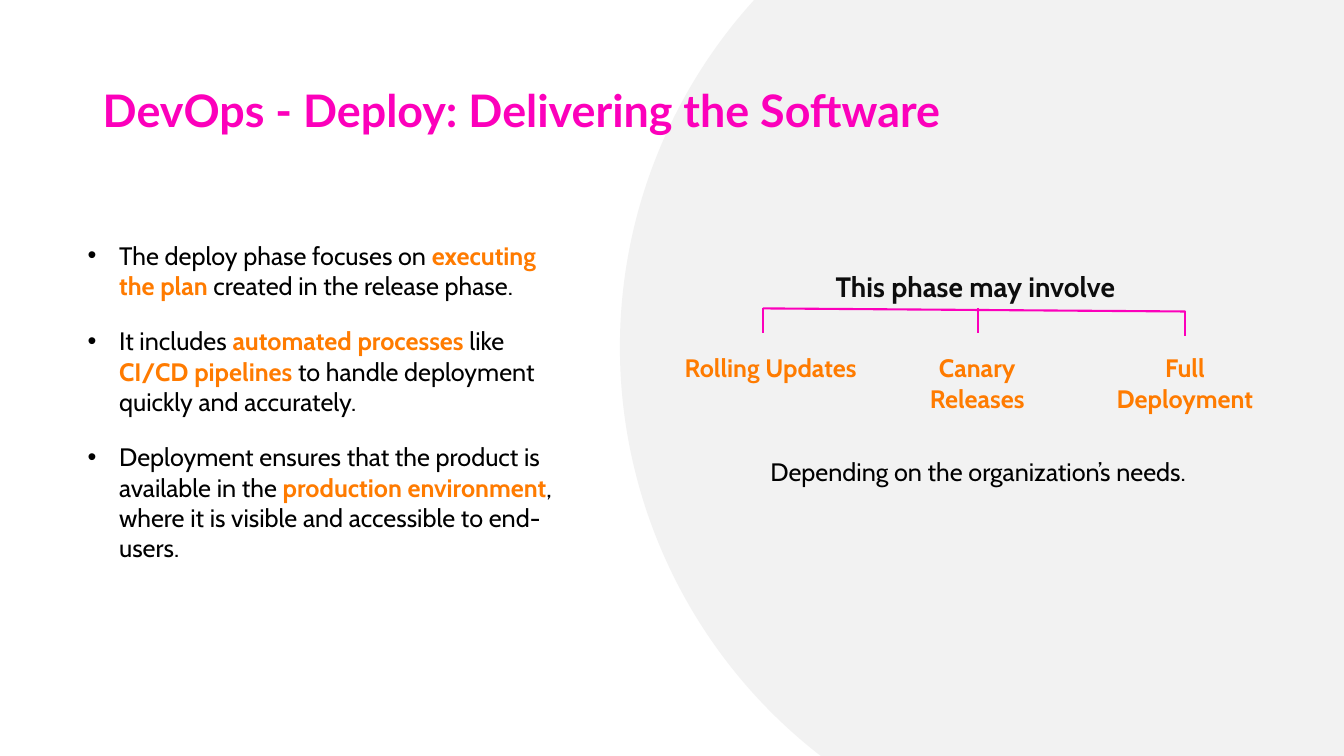
from dataclasses import dataclass

from lxml import etree
from pptx import Presentation
from pptx.dml.color import RGBColor
from pptx.enum import shapes, text
from pptx.oxml import ns
from pptx.util import Pt


@dataclass(frozen=True)
class Theme:
    pink: str = "FC00BB"
    orange: str = "FF7B00"
    black: str = "000000"
    ink: str = "0D0D0D"
    grey: str = "F2F2F2"
    head: str = "Lato"
    body: str = "Cabin"
    big: int = 32
    mid: int = 20
    small: int = 18


T = Theme()
TITLE = "DevOps - Deploy: Delivering the Software"
# Text between asterisks is a key phrase, set bold and orange.
POINTS = [
    "The deploy phase focuses on *executing the plan* created in the release phase.",
    "It includes *automated processes* like *CI/CD pipelines* to handle deployment"
    " quickly and accurately.",
    "Deployment ensures that the product is available in the *production environment*,"
    " where it is visible and accessible to end-users.",
]
# Label, its centre and width, then the x and top of its tick
KINDS = [
    ("Rolling Updates", 91.8, 137.5, 86.4, 31.7),
    ("Canary Releases", 239.4, 118.8, 239.8, 31.7),
    ("Full Deployment", 387.8, 136, 388.1, 33.9),
]


def write(para, words, size=T.small, font=T.body, color=T.black, bold=False):
    """Add a run to a paragraph."""
    run = para.add_run()
    run.text = words
    face = run.font
    face.size, face.name, face.bold = Pt(size), font, bold
    face.color.rgb = RGBColor.from_string(color)


def place(shape, left, top, width, height):
    shape.left, shape.top = Pt(left), Pt(top)
    shape.width, shape.height = Pt(width), Pt(height)


def label(slide, words, mid, top, width, height, **form):
    """Add a text box centred on mid."""
    box = slide.shapes.add_textbox(Pt(mid - width / 2), Pt(top), Pt(width), Pt(height))
    box.text_frame.word_wrap = True
    para = box.text_frame.paragraphs[0]
    para.alignment = text.PP_ALIGN.CENTER
    write(para, words, **form)


def line(slide, x1, y1, x2, y2):
    link = slide.shapes.add_connector(
        shapes.MSO_CONNECTOR.STRAIGHT, Pt(x1), Pt(y1), Pt(x2), Pt(y2))
    link.line.color.rgb = RGBColor.from_string(T.pink)
    link.line.width = Pt(1.5)
    etree.SubElement(link._element.spPr, ns.qn("a:effectLst"))


def disc(slide, left, top, width, height):
    """Draw the grey ellipse behind all else."""
    oval = slide.shapes.add_shape(
        shapes.MSO_SHAPE.OVAL, Pt(left), Pt(top), Pt(width), Pt(height))
    oval.shadow.inherit = False
    oval.fill.solid()
    oval.fill.fore_color.rgb = RGBColor.from_string(T.grey)
    oval.line.fill.background()
    slide.shapes._spTree.insert(2, oval._element)


def header(slide, *box):
    title = slide.shapes.title
    place(title, *box)
    frame = title.text_frame
    frame.auto_size = text.MSO_AUTO_SIZE.NONE
    frame.vertical_anchor = text.MSO_ANCHOR.MIDDLE
    para = frame.paragraphs[0]
    para.alignment = text.PP_ALIGN.LEFT
    para.line_spacing = 0.9
    write(para, TITLE, size=T.big, font=T.head, color=T.pink, bold=True)


def bullets(slide, *box):
    body = slide.placeholders[1]
    place(body, *box)
    frame = body.text_frame
    frame.auto_size = text.MSO_AUTO_SIZE.NONE
    for i, point in enumerate(POINTS):
        para = frame.add_paragraph() if i else frame.paragraphs[0]
        para.space_before = Pt(18 if i else 0)
        props = para._p.get_or_add_pPr()
        props.set("marL", str(Pt(22.5)))
        props.set("indent", str(Pt(-22.5)))
        etree.SubElement(props, ns.qn("a:buFont"), typeface="Arial")
        etree.SubElement(props, ns.qn("a:buChar"), char="•")
        for j, part in enumerate(point.split("*")):
            key = j % 2 == 1
            write(para, part, color=T.orange if key else T.black, bold=key)


def options(slide, left, top, width, height):
    """Draw the heading, its bracket of three options and the closing line."""
    mid = left + width / 2
    label(slide, "This phase may involve", mid - 2, top, width, 31.5,
          size=T.mid, color=T.ink, bold=True)
    for words, centre, wide, x, y in KINDS:
        label(slide, words, left + centre, top + 59.8, wide, 51,
              color=T.orange, bold=True)
        line(slide, left + x, top + y + 17.3, left + x, top + y)
    start, end = KINDS[0], KINDS[-1]
    line(slide, left + end[3], top + end[4], left + start[3], top + start[4])
    label(slide, "Depending on the organization’s needs.",
          mid, top + height - 29, width, 29)


def main():
    deck = Presentation()
    deck.slide_width, deck.slide_height = Pt(960), Pt(540)
    slide = deck.slides.add_slide(deck.slide_layouts[1])
    disc(slide, 442.8, -121.7, 742.3, 739.4)
    header(slide, 66.2, 28.8, 828, 104.4)
    bullets(slide, 55.4, 167.8, 351.4, 239)
    options(slide, 458.6, 188.6, 480.2, 162.7)
    deck.save("out.pptx")


if __name__ == "__main__":
    main()
